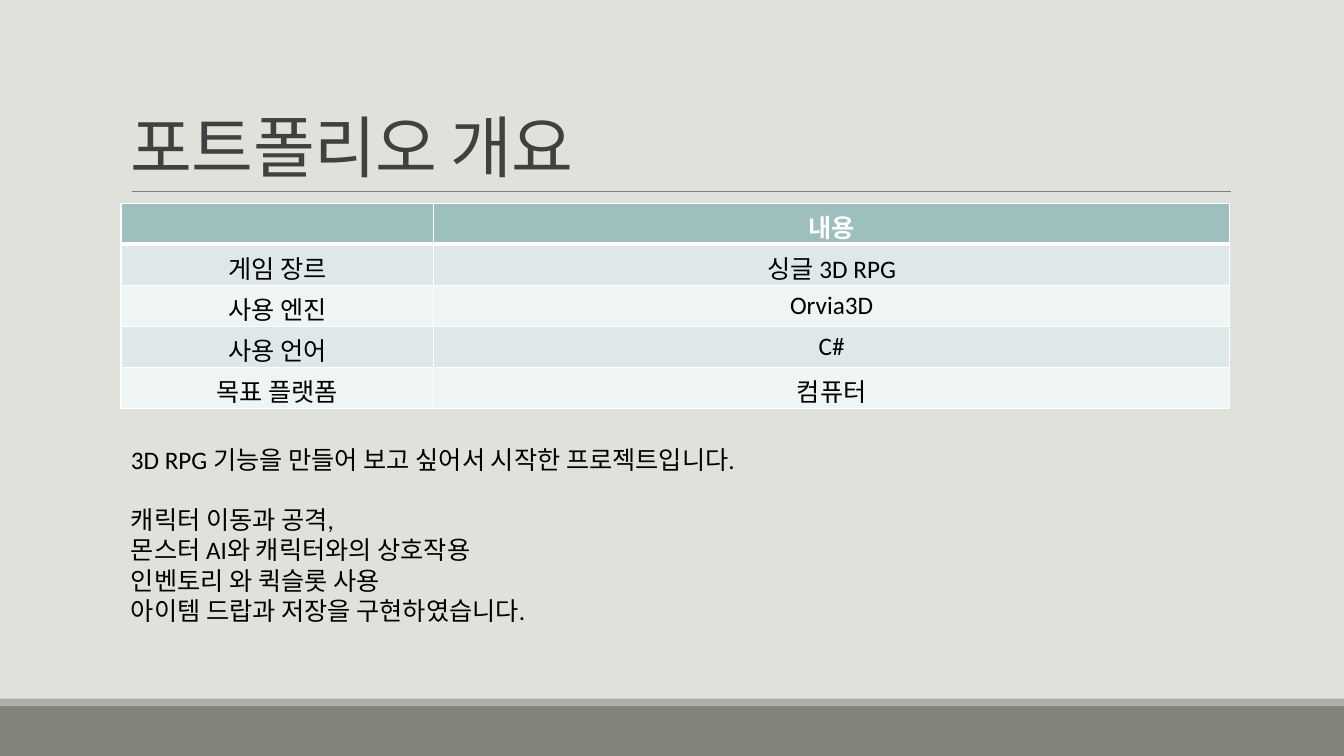
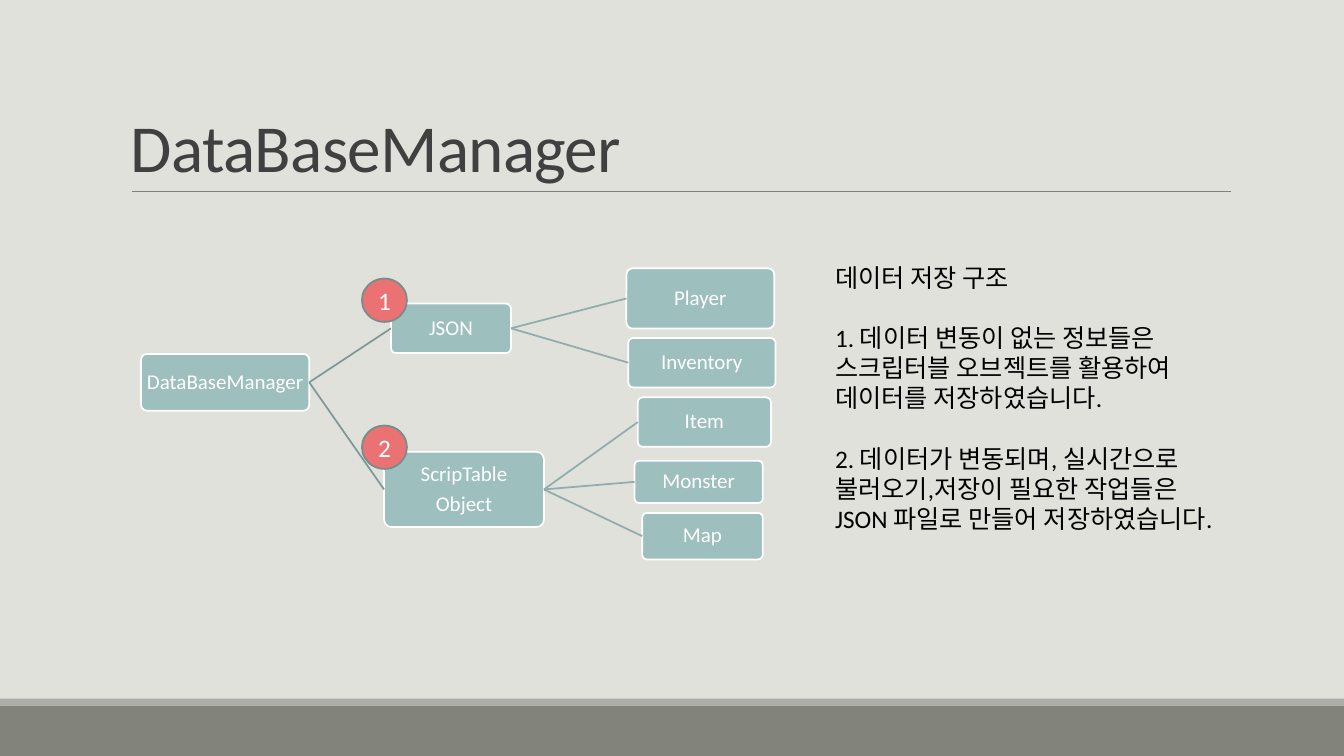
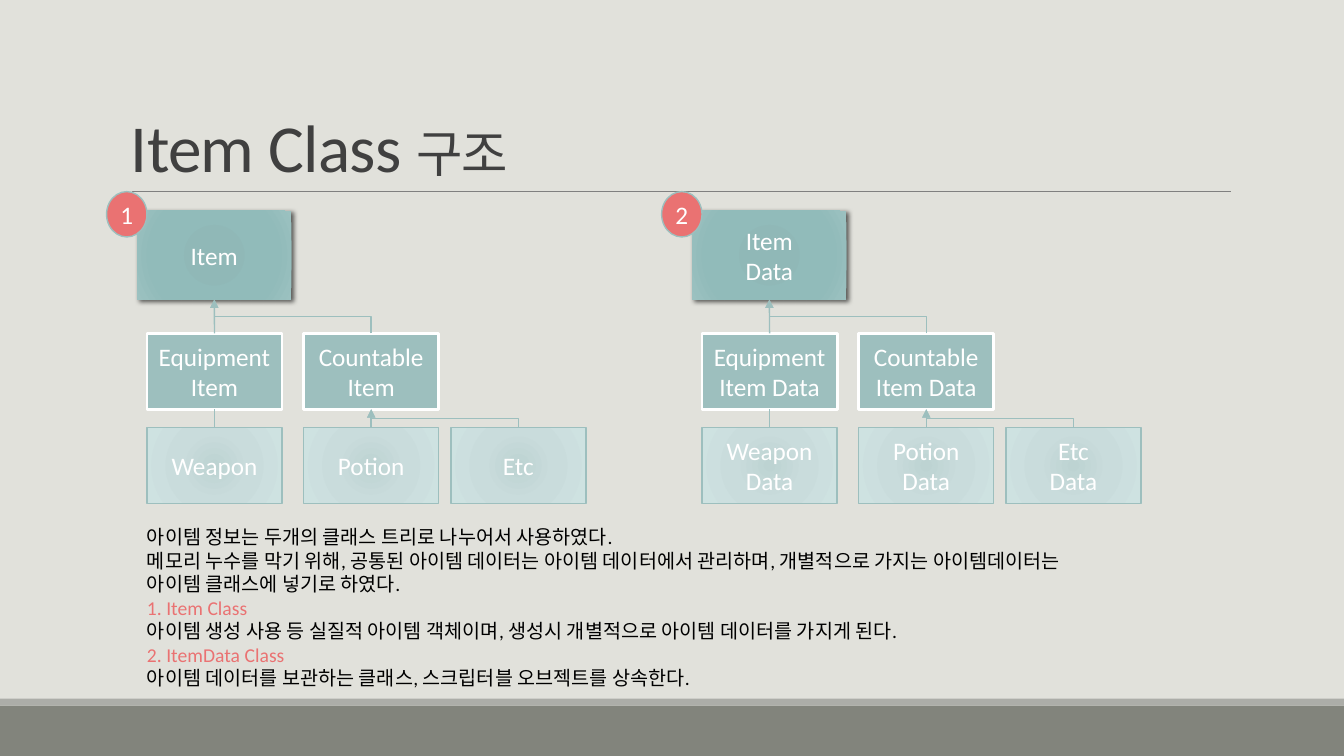
from dataclasses import dataclass

import pptx
import pptx.dml.color
import pptx.enum.shapes
import pptx.enum.text
import pptx.oxml
import pptx.oxml.ns
import pptx.util

RGBColor = pptx.dml.color.RGBColor
MSO_SHAPE = pptx.enum.shapes.MSO_SHAPE
MSO_CONNECTOR = pptx.enum.shapes.MSO_CONNECTOR
PP_ALIGN = pptx.enum.text.PP_ALIGN
MSO_ANCHOR = pptx.enum.text.MSO_ANCHOR
Pt = pptx.util.Pt
qn = pptx.oxml.ns.qn

BACKGROUND = RGBColor(0xE1, 0xE1, 0xDB)
BAND_DARK = RGBColor(0x82, 0x84, 0x7C)
BAND_LIGHT = RGBColor(0xAC, 0xAD, 0xA8)
RULE = RGBColor(0x80, 0x80, 0x80)
TITLE = RGBColor(0x40, 0x40, 0x40)
BLACK = RGBColor(0, 0, 0)
WHITE = RGBColor(0xFF, 0xFF, 0xFF)
TEAL = RGBColor(0x9D, 0xBF, 0xBE)
ROW_DARK = RGBColor(0xDF, 0xE8, 0xE8)
ROW_LIGHT = RGBColor(0xEF, 0xF4, 0xF4)
CORAL = RGBColor(0xEA, 0x72, 0x72)
BADGE_EDGE = RGBColor(0x74, 0x8D, 0x8D)
TRUNK = RGBColor(0x7E, 0x99, 0x98)
BRANCH = RGBColor(0x8E, 0xAD, 0xAC)
ROOT_GRADIENT = [(0, "8EB7B6"), (34, "90B8B7"), (70, "91BBBA"), (100, "9BC1C0")]
LEAF_GRADIENT = [(0, "BDD3D2"), (45, "C9DCDC"), (100, "CEE2E1")]

FONT = "Calibri"
BLANK_LINE = 21.5
TOP, LEFT, BOTTOM, RIGHT = range(4)


@dataclass
class Box:
    left: int
    top: int
    width: int
    height: int

    def inner(self, left, top, width, height):
        """Return an inner box given in percent of this one."""
        return Box(self.left + round(self.width * left / 100),
                   self.top + round(self.height * top / 100),
                   round(self.width * width / 100),
                   round(self.height * height / 100))

    @property
    def frame(self):
        return self.left, self.top, self.width, self.height


PAGE = Box(0, 0, pptx.util.Inches(13.33), pptx.util.Inches(7.5))


def set_font(paragraph, size, color, bold=False):
    paragraph.font.name = FONT
    paragraph.font.size = Pt(size)
    paragraph.font.color.rgb = color
    paragraph.font.bold = bold


def add_box(slide, box, kind, fill=None, edge=None, edge_width=1):
    shape = slide.shapes.add_shape(kind, *box.frame)
    shape.shadow.inherit = False
    if fill is not None:
        shape.fill.solid()
        shape.fill.fore_color.rgb = fill
    if edge is None:
        shape.line.fill.background()
    else:
        shape.line.color.rgb = edge
        shape.line.width = Pt(edge_width)
    return shape


def add_label(shape, text, size=18, line_spacing=None, space_after=None):
    """Write centred white lines that reach the edges of the shape."""
    frame = shape.text_frame
    frame.word_wrap = True
    frame.vertical_anchor = MSO_ANCHOR.MIDDLE
    frame.margin_left = frame.margin_right = 0
    frame.margin_top = frame.margin_bottom = 0
    frame.text = text
    for paragraph in frame.paragraphs:
        paragraph.alignment = PP_ALIGN.CENTER
        paragraph.line_spacing = line_spacing
        paragraph.space_after = space_after
        set_font(paragraph, size, WHITE)


def add_badge(slide, box, number, edge, edge_width):
    badge = add_box(slide, box, MSO_SHAPE.OVAL, CORAL, edge, edge_width)
    add_label(badge, str(number))


def add_line(slide, kind, start, end, color, width, arrow=False):
    line = slide.shapes.add_connector(kind, *start, *end)
    line.line.color.rgb = color
    line.line.width = Pt(width)
    properties = line._element.spPr
    if arrow:
        outline = properties.find(qn("a:ln"))
        outline.append(outline.makeelement(qn("a:tailEnd"), {"type": "triangle"}))
    properties.append(properties.makeelement(qn("a:effectLst"), {}))
    return line


def join(slide, first, first_site, second, second_site, color, width, arrow=False):
    line = add_line(slide, MSO_CONNECTOR.STRAIGHT, (0, 0), (0, 0), color, width, arrow)
    line.begin_connect(first, first_site)
    line.end_connect(second, second_site)


def add_elbow_up(slide, child, parent):
    """Draw an arrow up, across and up again, as a connector turned by 270 degrees."""
    start_x, start_y = child.left + child.width // 2, child.top
    end_x, end_y = parent.left + parent.width // 2, parent.top + parent.height
    middle_x, middle_y = (start_x + end_x) // 2, (start_y + end_y) // 2
    half_rise, half_run = (start_y - end_y) // 2, (start_x - end_x) // 2
    line = add_line(slide, MSO_CONNECTOR.ELBOW,
                    (middle_x - half_rise, middle_y + half_run),
                    (middle_x + half_rise, middle_y - half_run), TEAL, 1, True)
    line._element.spPr.find(qn("a:xfrm")).set("rot", str(270 * 60000))


def set_radial_fill(shape, stops):
    shape.fill.gradient()
    stop_xml = "".join(f'<a:gs pos="{place * 1000}"><a:srgbClr val="{color}"/></a:gs>'
                       for place, color in stops)
    gradient = pptx.oxml.parse_xml(
        f'<a:gradFill {pptx.oxml.ns.nsdecls("a")} rotWithShape="1"><a:gsLst>{stop_xml}</a:gsLst>'
        '<a:path path="circle"><a:fillToRect l="100000" t="100000" r="100000" b="100000"/>'
        '</a:path></a:gradFill>')
    properties = shape._element.spPr
    properties.replace(properties.find(qn("a:gradFill")), gradient)


def add_drop_shadow(shape):
    shape._element.spPr.find(qn("a:effectLst")).append(pptx.oxml.parse_xml(
        f'<a:outerShdw {pptx.oxml.ns.nsdecls("a")} blurRad="{Pt(3.5)}" dist="{Pt(2)}" '
        'dir="2700000" algn="tl" rotWithShape="0"><a:srgbClr val="000000">'
        '<a:alpha val="60000"/></a:srgbClr></a:outerShdw>'))


def add_text(slide, box, lines, size=18):
    """Write lines given as (text, colour, points before)."""
    frame = slide.shapes.add_textbox(*box.frame).text_frame
    frame.word_wrap = True
    frame.text = "\n".join(text for text, _, _ in lines)
    for paragraph, (_, color, before) in zip(frame.paragraphs, lines):
        if before:
            paragraph.space_before = Pt(before)
        set_font(paragraph, size, color)


def add_page(presentation, *title_runs):
    """Add a slide with bands, rule and a title of (text, size) runs."""
    slide = presentation.slides.add_slide(presentation.slide_layouts[6])
    slide.background.fill.solid()
    slide.background.fill.fore_color.rgb = BACKGROUND
    add_box(slide, PAGE.inner(0, 93.33, 100, 6.67), MSO_SHAPE.RECTANGLE, BAND_DARK)
    add_box(slide, PAGE.inner(0, 92.4, 100, 0.93), MSO_SHAPE.RECTANGLE, BAND_LIGHT)
    rule = PAGE.inner(9.8, 25.3, 81.8, 0)
    add_line(slide, MSO_CONNECTOR.STRAIGHT, (rule.left, rule.top),
             (rule.left + rule.width, rule.top), RULE, 0.5)

    frame = slide.shapes.add_textbox(*PAGE.inner(9, 4.1, 82.5, 21.2).frame).text_frame
    frame.word_wrap = True
    frame.vertical_anchor = MSO_ANCHOR.BOTTOM
    paragraph = frame.paragraphs[0]
    paragraph.line_spacing = 0.85
    set_font(paragraph, title_runs[0][1], TITLE)
    paragraph._p.pPr.find(qn("a:defRPr")).set("spc", "-50")
    for text, size in title_runs:
        run = paragraph.add_run()
        run.text = text
        if size != title_runs[0][1]:
            run.font.size = Pt(size)
    return slide


def set_cell_borders(cell, bottom_width):
    properties = cell._tc.get_or_add_tcPr()
    for side, width in (("L", 1), ("R", 1), ("T", 1), ("B", bottom_width)):
        properties.append(pptx.oxml.parse_xml(
            f'<a:ln{side} {pptx.oxml.ns.nsdecls("a")} w="{Pt(width)}"><a:solidFill>'
            f'<a:srgbClr val="{WHITE}"/></a:solidFill></a:ln{side}>'))


def add_overview_table(slide, box, rows):
    table = slide.shapes.add_table(len(rows), 2, *box.frame).table
    table.first_row = table.horz_banding = False
    for column, share in zip(table.columns, (28.2, 71.8)):
        column.width = round(box.width * share / 100)
    for row_index, texts in enumerate(rows):
        header = row_index == 0
        fill = TEAL if header else (ROW_LIGHT, ROW_DARK)[row_index % 2]
        for column_index, text in enumerate(texts):
            cell = table.cell(row_index, column_index)
            set_cell_borders(cell, 3 if header else 1)
            cell.fill.solid()
            cell.fill.fore_color.rgb = fill
            cell.text = text
            paragraph = cell.text_frame.paragraphs[0]
            paragraph.alignment = PP_ALIGN.CENTER
            set_font(paragraph, 18, WHITE if header else BLACK, header)


def add_storage_diagram(slide, box):
    def add_node(text, *place):
        node = add_box(slide, box.inner(*place), MSO_SHAPE.ROUNDED_RECTANGLE, TEAL, WHITE, 1.25)
        node.adjustments[0] = 0.1
        add_label(node, text, 15, 0.9, Pt(5.25))
        return node

    manager = add_node("DataBaseManager", 0, 29.4, 26.5, 19.5)
    json = add_node("JSON", 39.4, 12.1, 18.9, 17)
    scriptable = add_node("ScripTable\nObject", 38.3, 63, 25.2, 25.9)
    leaves = [
        (json, "Player", 76.5, 0, 23.3, 20.7),
        (json, "Inventory", 76.8, 23.9, 23.2, 17),
        (scriptable, "Item", 78.3, 44.3, 21, 17),
        (scriptable, "Monster", 77.8, 66.1, 20.2, 14.5),
        (scriptable, "Map", 79, 84, 19, 16),
    ]
    for store in (json, scriptable):
        join(slide, manager, RIGHT, store, LEFT, TRUNK, 1.25)
    for store, text, *place in leaves:
        join(slide, store, RIGHT, add_node(text, *place), LEFT, BRANCH, 1.25)
    for number, top in ((1, 3.5), (2, 54)):
        add_badge(slide, box.inner(34.8, top, 7.1, 14.9), number, BADGE_EDGE, 1.25)


def add_class_tree(slide, box, number, root_text, middle_texts, leaf_texts):
    columns = (2.2, 37.1, 69.9)

    def add_class(text, column, top, *style):
        node = add_box(slide, box.inner(columns[column], top, 30.1, 25.9),
                       MSO_SHAPE.RECTANGLE, *style)
        add_label(node, text)
        return node

    root = add_box(slide, box.inner(0, 0, 34.4, 30.3), MSO_SHAPE.RECTANGLE)
    set_radial_fill(root, ROOT_GRADIENT)
    add_drop_shadow(root)
    add_label(root, root_text)
    equipment, countable = [add_class(text, column, 41.9, TEAL, WHITE, 2)
                            for column, text in enumerate(middle_texts)]
    leaves = [add_class(text, column, 74.1, None, TEAL, 1)
              for column, text in enumerate(leaf_texts)]
    for leaf in leaves:
        set_radial_fill(leaf, LEAF_GRADIENT)
    weapon, potion, other = leaves

    add_elbow_up(slide, other, countable)
    join(slide, potion, TOP, countable, BOTTOM, TEAL, 1, True)
    join(slide, weapon, TOP, equipment, BOTTOM, TEAL, 1)
    join(slide, equipment, TOP, root, BOTTOM, TEAL, 1, True)
    add_elbow_up(slide, countable, root)
    add_badge(slide, box.inner(-6.8, -6.6, 9, 15.5), number, TEAL, 1)


def add_overview_slide(presentation):
    slide = add_page(presentation, ("포트폴리오 개요", 48))
    add_overview_table(slide, PAGE.inner(9, 26.9, 82.5, 27.1), [
        ("", "내용"),
        ("게임 장르", "싱글 3D RPG"),
        ("사용 엔진", "Orvia3D"),
        ("사용 언어", "C#"),
        ("목표 플랫폼", "컴퓨터"),
    ])
    add_text(slide, PAGE.inner(9, 58.1, 82.5, 25.6), [
        ("3D RPG 기능을 만들어 보고 싶어서 시작한 프로젝트입니다.", BLACK, 0),
        ("캐릭터 이동과 공격,", BLACK, BLANK_LINE),
        ("몬스터 AI와 캐릭터와의 상호작용", BLACK, 0),
        ("인벤토리 와 퀵슬롯 사용", BLACK, 0),
        ("아이템 드랍과 저장을 구현하였습니다.", BLACK, 0),
    ])


def add_storage_slide(presentation):
    slide = add_page(presentation, ("DataBaseManager", 48))
    add_storage_diagram(slide, PAGE.inner(10.5, 35.5, 47.2, 38.5))
    add_text(slide, PAGE.inner(61.4, 34, 29.7, 41.7), [
        ("데이터 저장 구조", BLACK, 0),
        ("1. 데이터 변동이 없는 정보들은 스크립터블 오브젝트를 활용하여 "
         "데이터를 저장하였습니다.", BLACK, BLANK_LINE),
        ("2. 데이터가 변동되며, 실시간으로 불러오기,저장이 필요한 작업들은 "
         "JSON 파일로 만들어 저장하였습니다.", BLACK, BLANK_LINE),
    ])


def add_class_slide(presentation):
    slide = add_page(presentation, ("Item Class ", 48), ("구조", 36))
    add_class_tree(slide, PAGE.inner(10.2, 27.9, 33.4, 38.7), 1, "Item",
                   ("Equipment\nItem", "Countable\nItem"),
                   ("Weapon", "Potion", "Etc"))
    add_class_tree(slide, PAGE.inner(51.5, 27.9, 33.4, 38.7), 2, "Item\nData",
                   ("Equipment\nItem Data", "Countable\nItem Data"),
                   ("Weapon\nData", "Potion\nData", "Etc\nData"))
    add_text(slide, PAGE.inner(10.2, 68.8, 73.1, 23.3), [
        ("아이템 정보는 두개의 클래스 트리로 나누어서 사용하였다.", BLACK, 0),
        ("메모리 누수를 막기 위해, 공통된 아이템 데이터는 아이템 데이터에서 관리하며, "
         "개별적으로 가지는 아이템데이터는 아이템 클래스에 넣기로 하였다.", BLACK, 0),
        ("1. Item Class", CORAL, 0),
        ("아이템 생성 사용 등 실질적 아이템 객체이며, "
         "생성시 개별적으로 아이템 데이터를 가지게 된다.", BLACK, 0),
        ("2. ItemData Class", CORAL, 0),
        ("아이템 데이터를 보관하는 클래스, 스크립터블 오브젝트를 상속한다.", BLACK, 0),
    ], 14)


def main():
    presentation = pptx.Presentation()
    presentation.slide_width = PAGE.width
    presentation.slide_height = PAGE.height
    add_overview_slide(presentation)
    add_storage_slide(presentation)
    add_class_slide(presentation)
    presentation.save("out.pptx")


if __name__ == "__main__":
    main()
